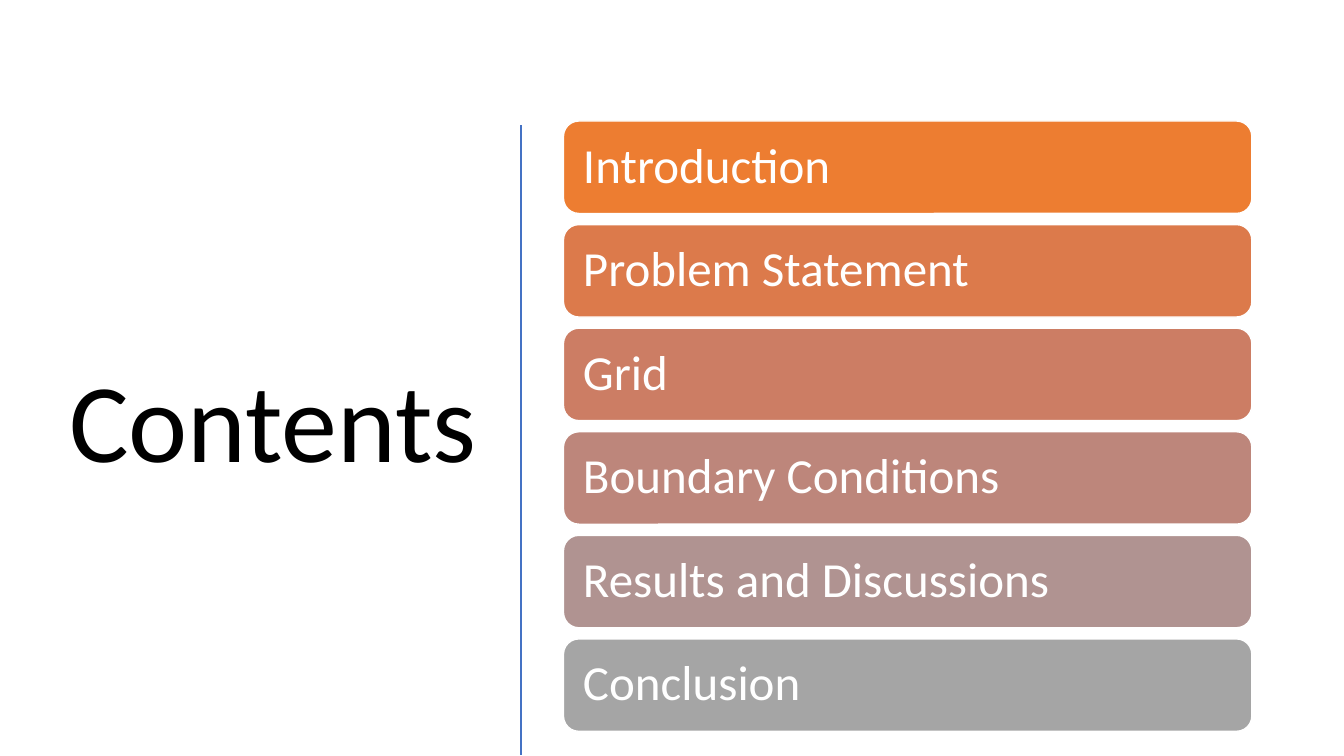
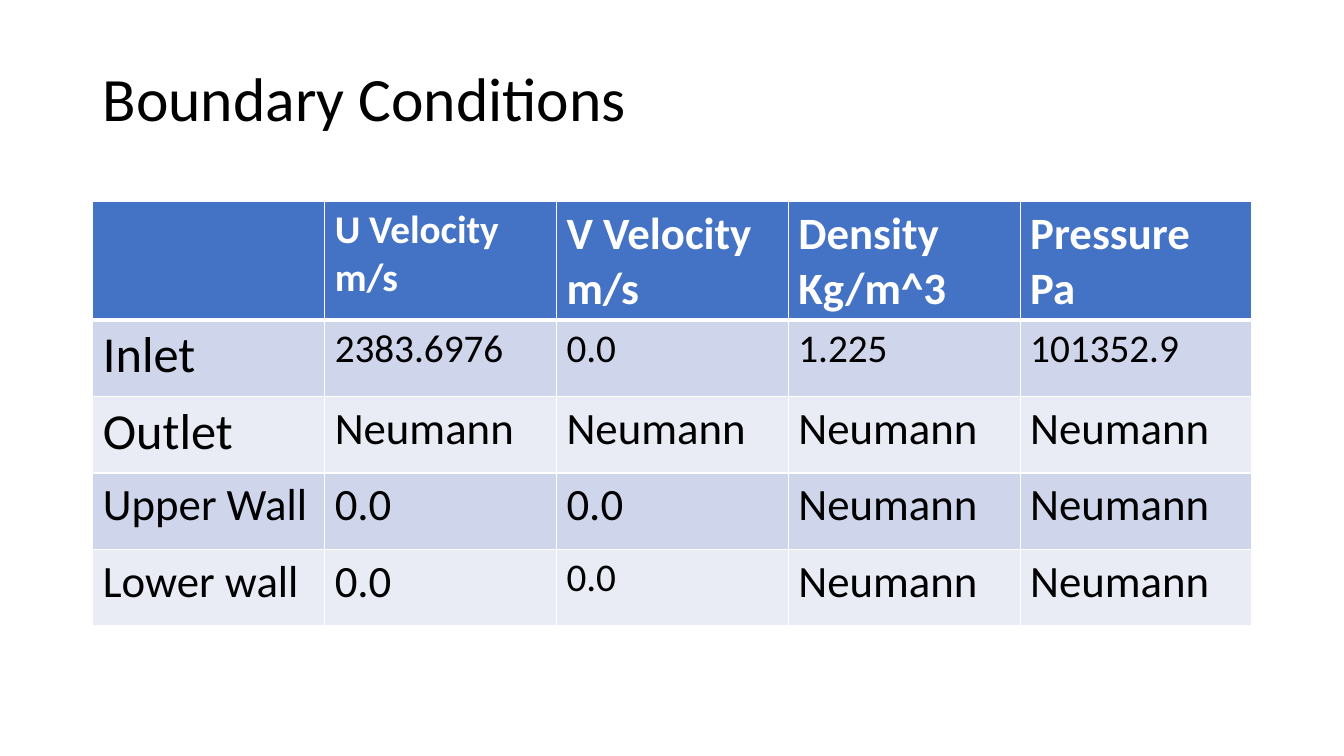
from dataclasses import dataclass

from lxml.etree import SubElement
from pptx import Presentation
from pptx.dml.color import RGBColor
from pptx.enum.shapes import MSO_CONNECTOR, MSO_SHAPE
from pptx.enum.text import MSO_ANCHOR, PP_ALIGN
from pptx.oxml.ns import qn
from pptx.util import Cm, Pt


@dataclass(frozen=True)
class Theme:
    font: str = "Calibri"
    ink: str = "000000"
    paper: str = "FFFFFF"
    accent: str = "4472C4"
    bands: tuple = ("CFD5EA", "E9EBF5")
    bars: tuple = ("ED7D31", "DC7A4B", "CC7D64", "BD867B", "B09391", "A5A5A5")
    cover_size: int = 80
    title_size: int = 44
    bar_size: int = 35
    label_size: int = 36
    cell_size: int = 32
    small_size: int = 28
    line_spacing: float = 0.9


@dataclass(frozen=True)
class Box:
    """A region of the page, in centimetres."""
    left: float
    top: float
    width: float
    height: float

    def lengths(self):
        return Cm(self.left), Cm(self.top), Cm(self.width), Cm(self.height)


THEME = Theme()

CONTENTS = ("Introduction", "Problem Statement", "Grid", "Boundary Conditions",
            "Results and Discussions", "Conclusion")

CONDITIONS = (
    ("", "U Velocity m/s", "V Velocity m/s", "Density\nKg/m^3", "Pressure\nPa"),
    ("Inlet", "2383.6976", "0.0", "1.225", "101352.9"),
    ("Outlet", "Neumann", "Neumann", "Neumann", "Neumann"),
    ("Upper Wall", "0.0", "0.0", "Neumann", "Neumann"),
    ("Lower wall", "0.0", "0.0", "Neumann", "Neumann"),
)
LABEL_CELLS = {(1, 0), (2, 0)}
SMALL_CELLS = {(0, 1), (1, 1), (1, 2), (1, 3), (1, 4), (4, 2)}


def color(value):
    return RGBColor.from_string(value)


def style_text(frame, size, ink, bold=False, align=PP_ALIGN.LEFT, spacing=None):
    for para in frame.paragraphs:
        para.alignment = align
        para.line_spacing = spacing
        para.font.name = THEME.font
        para.font.size = Pt(size)
        para.font.bold = bold
        para.font.color.rgb = color(ink)


def add_title(page, box, text, size, align=PP_ALIGN.LEFT):
    frame = page.shapes.add_textbox(*box.lengths()).text_frame
    frame.word_wrap = True
    frame.vertical_anchor = MSO_ANCHOR.MIDDLE
    frame.text = text
    style_text(frame, size, THEME.ink, align=align, spacing=THEME.line_spacing)


def add_divider(page, x, top, bottom):
    divider = page.shapes.add_connector(
        MSO_CONNECTOR.STRAIGHT, Cm(x), Cm(top), Cm(x), Cm(bottom))
    divider.line.color.rgb = color(THEME.accent)
    divider.line.width = Pt(2)
    SubElement(divider.line._get_or_add_ln().getparent(), qn("a:effectLst"))


def add_bars(page, box, labels, gap=0.28):
    """Fill the box with equal rounded bars, one for each label."""
    height = (box.height - gap * (len(labels) - 1)) / len(labels)
    for index, (label, fill) in enumerate(zip(labels, THEME.bars)):
        place = Box(box.left, box.top + index * (height + gap), box.width, height)
        bar = page.shapes.add_shape(MSO_SHAPE.ROUNDED_RECTANGLE, *place.lengths())
        bar.shadow.inherit = False
        bar.fill.solid()
        bar.fill.fore_color.rgb = color(fill)
        bar.line.color.rgb = color(THEME.paper)
        bar.line.width = Pt(1)
        frame = bar.text_frame
        frame.word_wrap = True
        frame.vertical_anchor = MSO_ANCHOR.MIDDLE
        # The preset's own text area is already inset by its rounded corners.
        frame.margin_left = frame.margin_right = Cm(0.38)
        frame.margin_top = frame.margin_bottom = Cm(0.1)
        frame.text = label
        style_text(frame, THEME.bar_size, THEME.paper, spacing=THEME.line_spacing)


def add_borders(cell, widths):
    """Draw the cell's sides; widths maps a side's tag to points."""
    properties = cell._tc.get_or_add_tcPr()
    for side, width in widths.items():
        line = SubElement(properties, qn(f"a:{side}"), w=str(Pt(width)))
        fill = SubElement(line, qn("a:solidFill"))
        SubElement(fill, qn("a:srgbClr"), val=THEME.paper)


def cell_size(position):
    if position in LABEL_CELLS:
        return THEME.label_size
    return THEME.small_size if position in SMALL_CELLS else THEME.cell_size


def add_conditions_table(page, box, rows, header_height=2.98):
    table = page.shapes.add_table(len(rows), len(rows[0]), *box.lengths()).table
    table.first_row = table.horz_banding = False
    for column in table.columns:
        column.width = Cm(box.width / len(rows[0]))
    body_height = (box.height - header_height) / (len(rows) - 1)
    for r, texts in enumerate(rows):
        header = r == 0
        table.rows[r].height = Cm(header_height if header else body_height)
        for c, text in enumerate(texts):
            cell = table.cell(r, c)
            add_borders(cell, {"lnL": 1, "lnR": 1, "lnT": 3 if r == 1 else 1,
                               "lnB": 3 if header else 1})
            cell.fill.solid()
            cell.fill.fore_color.rgb = color(
                THEME.accent if header else THEME.bands[(r - 1) % 2])
            cell.text = text
            style_text(cell.text_frame, cell_size((r, c)),
                       THEME.paper if header else THEME.ink, bold=header)


def add_contents_page(page):
    add_title(page, Box(1.32, 2.97, 10.95, 15.52), "Contents",
              THEME.cover_size, PP_ALIGN.RIGHT)
    add_divider(page, 13.13, 3.15, 19.02)
    add_bars(page, Box(14.2, 3.05, 17.35, 15.38), CONTENTS)


def add_conditions_page(page):
    add_title(page, Box(2.34, 1.02, 29.21, 3.07), "Boundary Conditions",
              THEME.title_size)
    add_conditions_table(page, Box(2.34, 5.08, 29.21, 10.7), CONDITIONS)


def main():
    deck = Presentation()
    deck.slide_width, deck.slide_height = Cm(33.87), Cm(19.05)
    blank = deck.slide_layouts[6]
    for build in (add_contents_page, add_conditions_page):
        build(deck.slides.add_slide(blank))
    deck.save("out.pptx")


if __name__ == "__main__":
    main()
